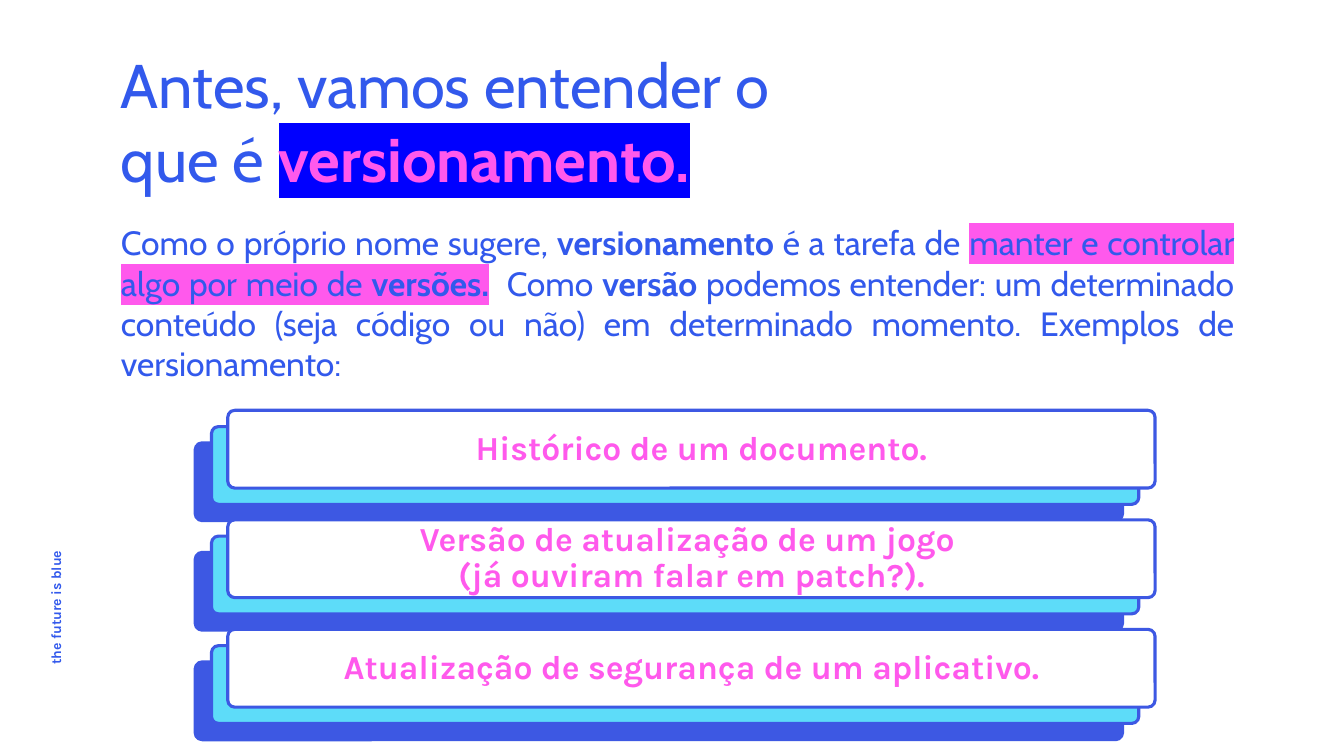
from lxml.etree import SubElement
from pptx import Presentation
from pptx.dml.color import RGBColor
from pptx.enum.shapes import MSO_SHAPE
from pptx.enum.text import MSO_ANCHOR, PP_ALIGN
from pptx.oxml.ns import qn
from pptx.util import Cm, Pt

HUES = {
    "blue": "3259EC", "edge": "3D58E3", "cyan": "5DDCF9",
    "pink": "FF59EC", "mark": "0000FF", "white": "FFFFFF",
}
PAD = 0.08
LAYERS = ("edge", "cyan", "white")
STEP = 0.41
PITCH = 2.76
CARDS = (
    (["Histórico de um documento."], 0.25),
    (["Versão de atualização de um jogo ", "(já ouviram falar em patch?)."], 0),
    (["Atualização de segurança de um aplicativo."], 0),
)


def hue(name):
    """Return the named colour."""
    return RGBColor.from_string(HUES[name])


def apply(item, form):
    """Set each attribute of a format dict on an item."""
    for key, value in form.items():
        setattr(item, key, value)


def add_run(para, text, face, size, tint, bold=False, mark=None):
    """Add a styled run, with a highlight if one is named."""
    run = para.add_run()
    run.text = text
    apply(run.font, {"name": face, "size": Pt(size), "bold": bold})
    run.font.color.rgb = hue(tint)
    if mark:
        props = run.font._element
        light = SubElement(props, qn("a:highlight"))
        SubElement(light, qn("a:srgbClr")).set("val", HUES[mark])
        props.find(qn("a:solidFill")).addnext(light)


def add_text(shapes, box, paras, face, size, tint, form, low=PAD):
    """Place a wrapped text box holding paragraphs of (text, bold, mark) runs."""
    shape = shapes.add_textbox(*map(Cm, box))
    frame = shape.text_frame
    apply(frame, {
        "word_wrap": True, "vertical_anchor": MSO_ANCHOR.MIDDLE,
        "margin_left": Cm(PAD), "margin_right": Cm(PAD),
        "margin_top": Cm(PAD), "margin_bottom": Cm(low),
    })
    for i, runs in enumerate(paras):
        para = frame.add_paragraph() if i else frame.paragraphs[0]
        apply(para, form)
        for text, bold, mark in runs:
            add_run(para, text, face, size, tint, bold, mark)
    return shape


def add_motto(slide, box):
    """Place the vertical motto at the left edge."""
    runs = [("the future is blue", True, None)]
    form = {"alignment": PP_ALIGN.LEFT, "line_spacing": 0.7}
    motto = add_text(slide.shapes, box, [runs], "Karla", 10, "blue", form)
    motto.rotation = 270


def add_title(slide, box):
    """Place the title, with its key word marked."""
    left, top, width, height = box
    frame = add_text(slide.shapes, box, [[("Antes, vamos entender o que é ", False, None)]],
                     "Cabin", 44, "blue", {"alignment": PP_ALIGN.LEFT}, 0.66).text_frame
    add_run(frame.paragraphs[0], "versionamento.", "Cabin", 44, "pink", True, "mark")


def add_body(slide, box):
    """Place the justified definition."""
    runs = [
        ("Como o próprio nome sugere, ", False, None),
        ("versionamento", True, None),
        (" é a tarefa de ", False, None),
        ("manter e controlar algo por meio de ", False, "pink"),
        ("versões.", True, "pink"),
        ("  Como ", False, None),
        ("versão", True, None),
        (" podemos entender: um determinado conteúdo (seja código ou não) em "
         "determinado momento. Exemplos de versionamento:", False, None),
    ]
    form = {"alignment": PP_ALIGN.JUSTIFY}
    add_text(slide.shapes, box, [runs], "Cabin", 24, "blue", form, 0.89)


def add_card(slide, box, lines, shift):
    """Place one card of three stacked layers, with its text on the front."""
    left, top, width, height = box
    shapes = slide.shapes.add_group_shape().shapes
    for i, tint in enumerate(LAYERS):
        gap = STEP * (len(LAYERS) - 1 - i)
        layer = shapes.add_shape(MSO_SHAPE.ROUNDED_RECTANGLE, Cm(left - gap),
                                 Cm(top + gap), Cm(width), Cm(height))
        layer.adjustments[0] = 0.09
        layer.shadow.inherit = False
        layer.fill.solid()
        layer.fill.fore_color.rgb = hue(tint)
        layer.line.color.rgb = hue("edge")
        layer.line.width = Pt(2.25)
    paras = [[(line, True, None)] for line in lines]
    form = {"alignment": PP_ALIGN.CENTER, "line_spacing": 0.9}
    add_text(shapes, (left + shift, top, width, height), paras,
             "Karla", 24, "pink", form)


def add_cards(slide, box):
    """Place the example cards below one another from the first card's box."""
    left, top, width, height = box
    for i, (lines, shift) in enumerate(CARDS):
        add_card(slide, (left, top + i * PITCH, width, height), lines, shift)


def main():
    """Build and save the slide."""
    deck = Presentation()
    apply(deck, {"slide_width": Cm(33.87), "slide_height": Cm(19.05)})
    slide = deck.slides.add_slide(deck.slide_layouts[6])
    add_motto(slide, (-0.36, 14.71, 3.63, 0.61))
    add_title(slide, (2.97, 0.28, 18.11, 6.12))
    add_body(slide, (2.97, 5.97, 28.22, 4.14))
    add_cards(slide, (5.74, 10.34, 23.37, 1.96))
    deck.save("out.pptx")


if __name__ == "__main__":
    main()
